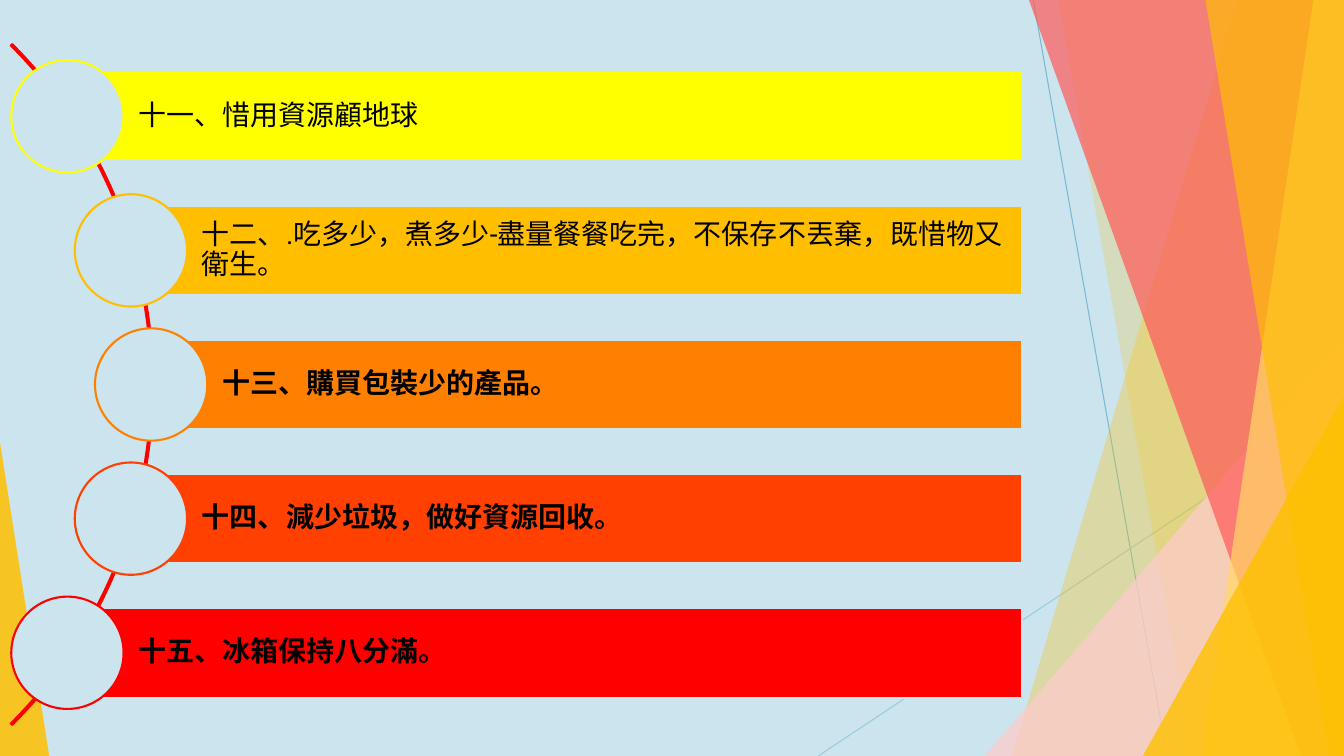
"""Build the slide of five resource-saving habits along an arc."""
from lxml import etree
from pptx import Presentation
from pptx.dml.color import RGBColor
from pptx.enum.shapes import MSO_CONNECTOR, MSO_SHAPE
from pptx.enum.text import MSO_ANCHOR, PP_ALIGN
from pptx.oxml.ns import qn
from pptx.util import Cm, Pt

STRAIGHT = MSO_CONNECTOR.STRAIGHT
RECTANGLE, OVAL = MSO_SHAPE.RECTANGLE, MSO_SHAPE.OVAL
TRIANGLE, BLOCK_ARC = MSO_SHAPE.ISOSCELES_TRIANGLE, MSO_SHAPE.BLOCK_ARC
MIDDLE, LEFT = MSO_ANCHOR.MIDDLE, PP_ALIGN.LEFT
WIDTH, HEIGHT = 33.87, 19.05
SKY = "CBE4ED"


def rgb(value):
    return RGBColor.from_string(value)


def paint(shape, fill=None, line=None, opacity=100):
    shape.shadow.inherit = False
    if fill:
        shape.fill.solid()
        shape.fill.fore_color.rgb = rgb(fill)
    else:
        shape.fill.background()
    if opacity < 100:
        colour = shape.fill._xPr.find(qn("a:solidFill"))[0]
        etree.SubElement(colour, qn("a:alpha"), val=str(opacity * 1000))
    if line:
        shape.line.color.rgb = rgb(line)
        shape.line.width = Pt(1.5)
    else:
        shape.line.fill.background()


deck = Presentation()
deck.slide_width, deck.slide_height = Cm(WIDTH), Cm(HEIGHT)
page = deck.slides.add_slide(deck.slide_layouts[6])
page.background.fill.solid()
page.background.fill.fore_color.rgb = rgb(SKY)

rays = [
    (26.04, 0, 29.41, HEIGHT, "79BAD1"),
    (WIDTH, 10.24, 20.62, HEIGHT, "9ACBDC"),
]
for start_x, start_y, end_x, end_y, colour in rays:
    ray = page.shapes.add_connector(
        STRAIGHT, Cm(start_x), Cm(start_y), Cm(end_x), Cm(end_y))
    ray.line.color.rgb = rgb(colour)
    ray.line.width = Pt(0.75)
    etree.SubElement(ray._element.spPr, qn("a:effectLst"))

facets = [
    (31.19, 25.5, 0, "FFC000", 30),
    (26.67, 30.05, 0, "FFC000", 20),
    (WIDTH, 24.82, 8.46, "FFCCCC", 72),
    (25.93, 32.79, 0, "FF5959", 70),
    (33.1, 30.28, 0, "FFD966", 70),
    (30.38, 33.48, 0, "FFC000", 65),
    (WIDTH, 28.8, 9.98, "FFC000", 80),
    (0, 1.24, 11.15, "FFC000", 85),
]
for peak_x, foot_x, peak_y, colour, opacity in facets:
    if peak_y:
        facet = page.shapes.add_shape(
            TRIANGLE, Cm(min(peak_x, foot_x)), Cm(peak_y),
            Cm(abs(peak_x - foot_x)), Cm(HEIGHT - peak_y))
        facet.adjustments[0] = 1 if peak_x > foot_x else 0
    else:
        outline = page.shapes.build_freeform(Cm(peak_x), 0)
        outline.add_line_segments([
            (Cm(WIDTH), 0), (Cm(WIDTH), Cm(HEIGHT)), (Cm(foot_x), Cm(HEIGHT))])
        facet = outline.convert_to_shape()
    paint(facet, colour, opacity=opacity)

arc = page.shapes.add_shape(BLOCK_ARC, Cm(-20.4), Cm(-2.44), Cm(24.26), Cm(24.26))
for index, value in enumerate((189, 27, 0.002)):
    arc.adjustments[index] = value
paint(arc, line="FF0000")

bar_right, bar_height, first_top, pitch = 25.76, 2.26, 1.8, 3.38
diameter = 2.83
habits = [
    ("十一、惜用資源顧地球", 1.7, "FFFF00", False),
    ("十二、.吃多少，煮多少-盡量餐餐吃完，不保存不丟棄，既惜物又衛生。",
     3.3, "FFBF00", False),
    ("十三、購買包裝少的產品。", 3.81, "FF8000", True),
    ("十四、減少垃圾，做好資源回收。", 3.3, "FF4000", True),
    ("十五、冰箱保持八分滿。", 1.7, "FF0000", True),
]
for row, (words, left, colour, bold) in enumerate(habits):
    top = first_top + row * pitch
    bar = page.shapes.add_shape(
        RECTANGLE, Cm(left), Cm(top), Cm(bar_right - left), Cm(bar_height))
    paint(bar, colour, SKY)
    frame = bar.text_frame
    frame.text = words
    frame.word_wrap = True
    frame.vertical_anchor = MIDDLE
    frame.margin_left = Cm(1.79)
    frame.margin_top = frame.margin_right = frame.margin_bottom = Cm(0.15)
    para = frame.paragraphs[0]
    para.alignment = LEFT
    para.line_spacing = 0.9
    para.space_after = Pt(7)
    font = para.runs[0].font
    font.name, font.size, font.bold = "Roboto", Pt(20), bold
    font.color.rgb = rgb("000000")

    circle = page.shapes.add_shape(
        OVAL, Cm(left - diameter / 2), Cm(top + (bar_height - diameter) / 2),
        Cm(diameter), Cm(diameter))
    paint(circle, SKY, colour)

deck.save("out.pptx")
